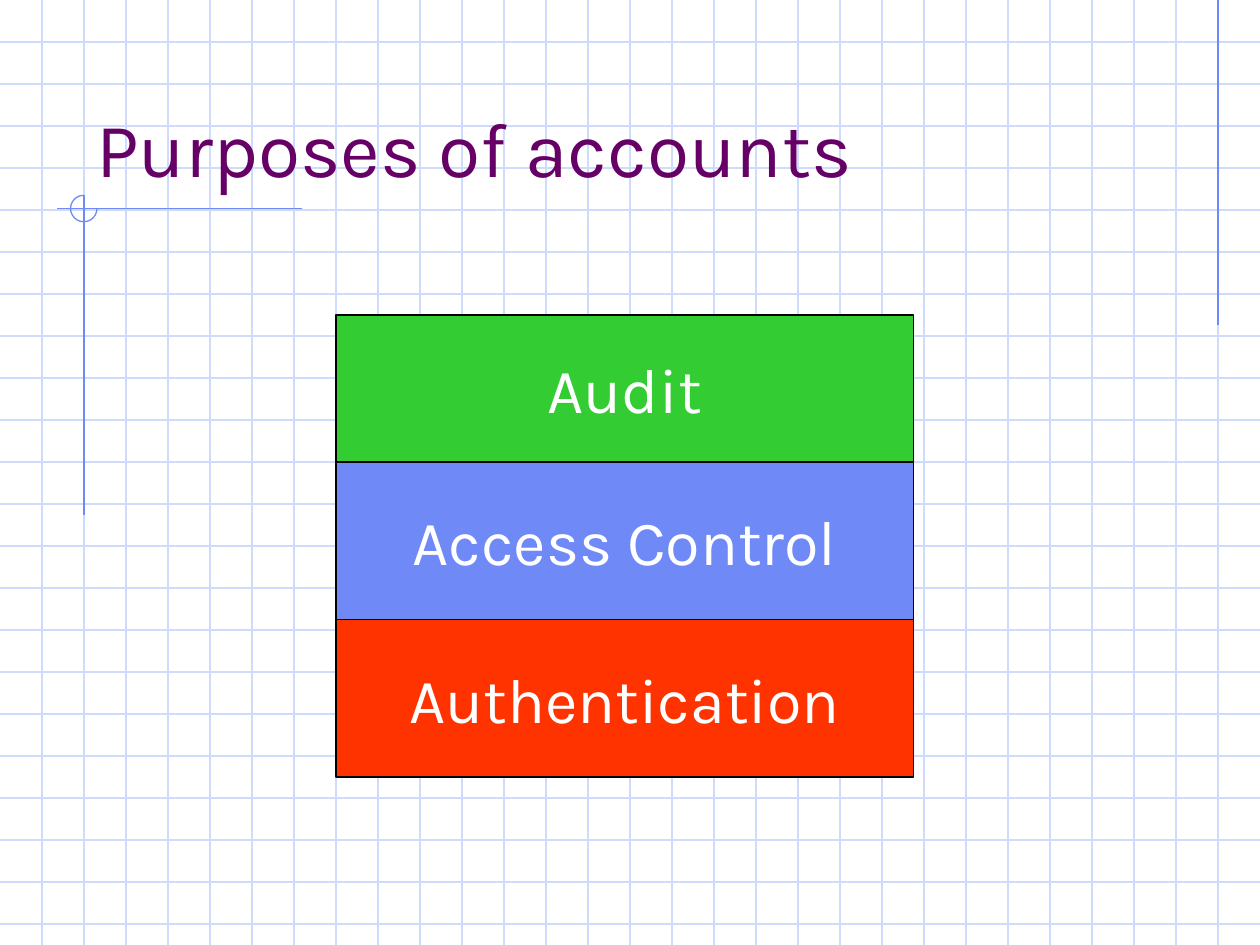
from dataclasses import dataclass

from lxml import etree
from pptx import Presentation
from pptx.dml.color import RGBColor
from pptx.enum.shapes import MSO_CONNECTOR, MSO_SHAPE
from pptx.enum.text import MSO_ANCHOR, PP_ALIGN
from pptx.oxml.ns import qn
from pptx.shapes.autoshape import Shape
from pptx.slide import Slide
from pptx.util import Inches, Pt

STRAIGHT = MSO_CONNECTOR.STRAIGHT
RECTANGLE, ARC = MSO_SHAPE.RECTANGLE, MSO_SHAPE.ARC
BOTTOM, MIDDLE = MSO_ANCHOR.BOTTOM, MSO_ANCHOR.MIDDLE
LEFT, CENTER = PP_ALIGN.LEFT, PP_ALIGN.CENTER

COLUMNS, ROWS = 30, 22.5
CELL = Inches(10) / COLUMNS
BLANK_LAYOUT = 6


@dataclass(frozen=True)
class Theme:
    font: str = "Karla"
    title_size: int = 44
    block_size: int = 36
    line_width: float = 0.75
    background: str = "FFFFFF"
    grid: str = "CFDBFD"
    accent: str = "6F89F7"
    title: str = "660066"
    block_text: str = "FFFFFF"
    outline: str = "000000"


@dataclass(frozen=True)
class Rule:
    start: tuple[float, float]
    end: tuple[float, float]
    color: str


@dataclass(frozen=True)
class Block:
    label: str
    rows: float
    fill: str


THEME = Theme()
ACCENT_RULES = (
    Rule((29, 0), (29, 7.75), THEME.accent),
    Rule((7.2, 4.97), (1.35, 4.97), THEME.accent),
    Rule((2, 4.65), (2, 12.27), THEME.accent),
)
BLOCKS = (
    Block("Audit", 3.5, "33CC33"),
    Block("Access Control", 3.75, "6F89F7"),
    Block("Authentication", 3.75, "FF3300"),
)
BLOCK_LEFT, BLOCK_TOP, BLOCK_COLUMNS = 8, 7.5, 13.75


def cells(*counts: float) -> list[int]:
    return [round(count * CELL) for count in counts]


def color(value: str) -> RGBColor:
    return RGBColor.from_string(value)


def draw_rule(page: Slide, rule: Rule) -> None:
    connector = page.shapes.add_connector(STRAIGHT, *cells(*rule.start, *rule.end))
    connector.line.color.rgb = color(rule.color)
    connector.line.width = Pt(THEME.line_width)
    etree.SubElement(connector._element.spPr, qn("a:effectLst"))


def draw_grid(page: Slide) -> None:
    for row in range(1, int(ROWS) + 1):
        draw_rule(page, Rule((0, row), (COLUMNS, row), THEME.grid))
    for column in range(1, COLUMNS):
        draw_rule(page, Rule((column, 0), (column, ROWS), THEME.grid))


def draw_arc(page: Slide) -> None:
    arc = page.shapes.add_shape(ARC, *cells(1.68, 4.65, 0.63, 0.63))
    arc.adjustments[0] = 0
    arc.adjustments[1] = 162
    arc.shadow.inherit = False
    arc.fill.background()
    arc.line.color.rgb = color(THEME.accent)
    arc.line.width = Pt(THEME.line_width)


def write(box: Shape, text: str, size: int, ink: str,
          align: PP_ALIGN, anchor: MSO_ANCHOR, wrap: bool) -> None:
    frame = box.text_frame
    frame.text = text
    frame.word_wrap = wrap
    frame.vertical_anchor = anchor
    para = frame.paragraphs[0]
    para.alignment = align
    for span in para.runs:
        span.font.name = THEME.font
        span.font.size = Pt(size)
        span.font.color.rgb = color(ink)


def draw_title(page: Slide) -> None:
    box = page.shapes.add_textbox(*cells(2, 1, 25.5, 3.75))
    write(box, "Purposes of accounts", THEME.title_size, THEME.title, LEFT, BOTTOM, True)


def draw_block(page: Slide, block: Block, top: float) -> None:
    box = page.shapes.add_shape(
        RECTANGLE, *cells(BLOCK_LEFT, top, BLOCK_COLUMNS, block.rows))
    box.shadow.inherit = False
    box.fill.solid()
    box.fill.fore_color.rgb = color(block.fill)
    box.line.color.rgb = color(THEME.outline)
    box.line.width = Pt(THEME.line_width)
    write(box, block.label, THEME.block_size, THEME.block_text, CENTER, MIDDLE, False)


def main() -> None:
    deck = Presentation()
    deck.slide_width, deck.slide_height = cells(COLUMNS, ROWS)
    page = deck.slides.add_slide(deck.slide_layouts[BLANK_LAYOUT])
    page.background.fill.solid()
    page.background.fill.fore_color.rgb = color(THEME.background)

    draw_grid(page)
    for rule in ACCENT_RULES:
        draw_rule(page, rule)
    draw_arc(page)
    draw_title(page)

    top = BLOCK_TOP
    for block in BLOCKS:
        draw_block(page, block, top)
        top += block.rows

    deck.save("out.pptx")


if __name__ == "__main__":
    main()
